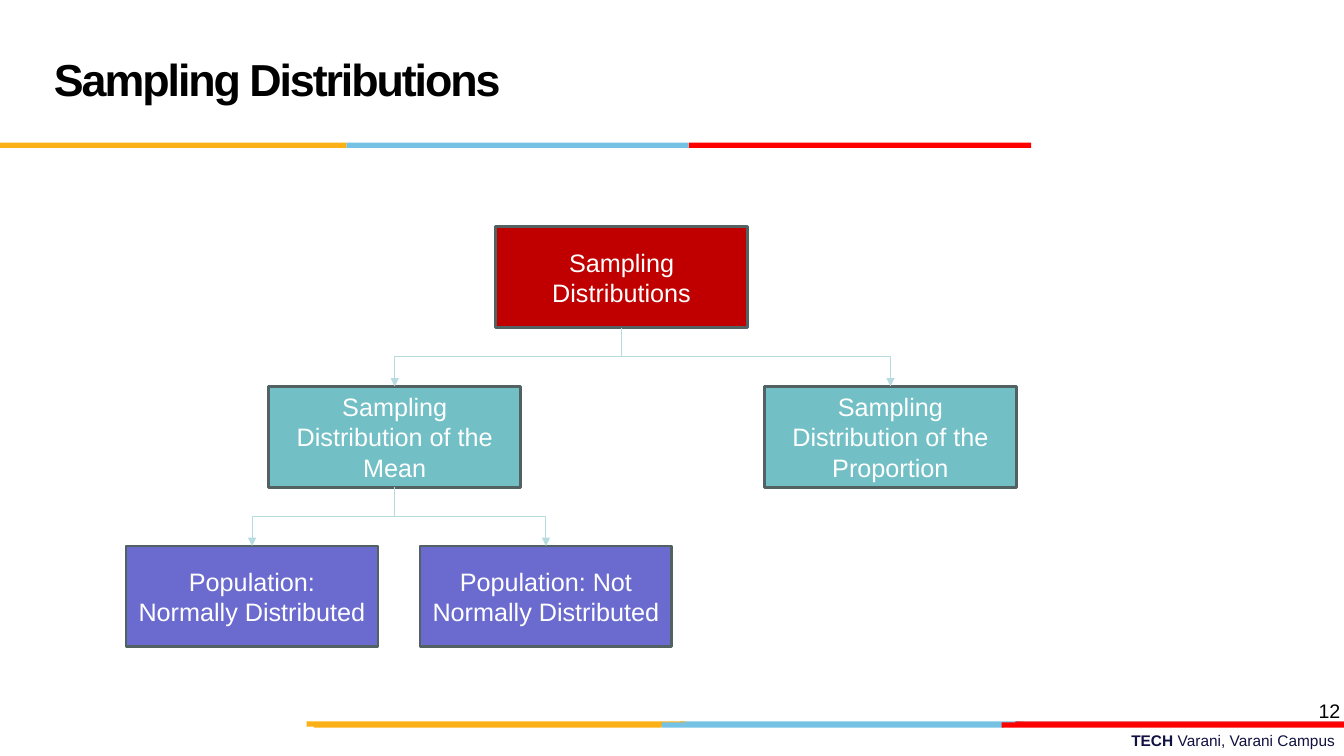
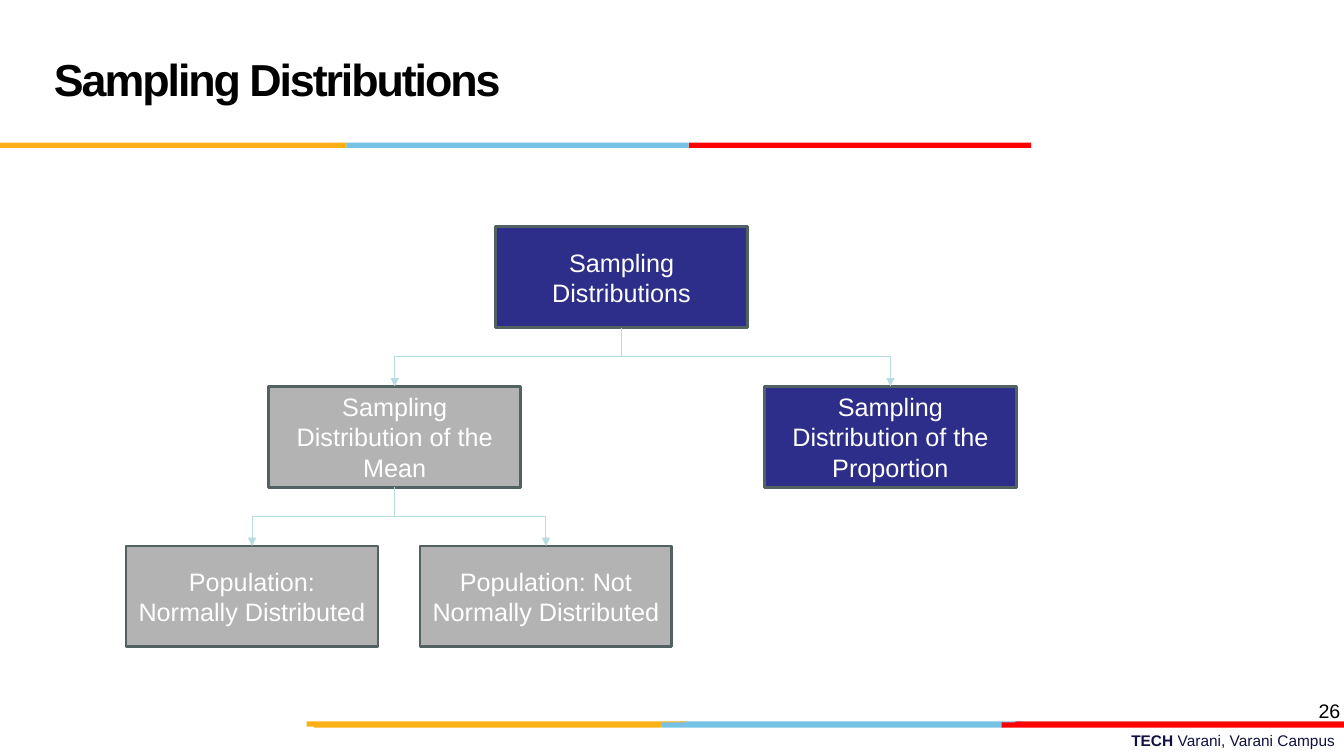
from lxml import etree
from pptx import Presentation
from pptx.dml.color import RGBColor
from pptx.enum.shapes import MSO_CONNECTOR, MSO_SHAPE
from pptx.enum.text import MSO_ANCHOR, PP_ALIGN
from pptx.oxml.ns import qn
from pptx.util import Pt

RECTANGLE = MSO_SHAPE.RECTANGLE
ELBOW = MSO_CONNECTOR.ELBOW
MIDDLE, TOP = MSO_ANCHOR.MIDDLE, MSO_ANCHOR.TOP
LEFT, CENTER, RIGHT = PP_ALIGN.LEFT, PP_ALIGN.CENTER, PP_ALIGN.RIGHT

PX = 9525
PAGE_WIDTH, PAGE_HEIGHT = 1280, 720
FONT = "Arial"
COLORS = {
    "black": "000000", "white": "FFFFFF", "footer": "101141",
    "yellow": "FCB017", "sky": "76C2E5", "red": "FF0000", "brick": "E31C24",
    "outline": "526263", "arrow": "B6DCDF",
    "crimson": "C00000", "teal": "72BFC5", "violet": "6B6BCF",
    "navy": "2D2D8A", "gray": "B3B3B3",
}

# Each band: top, then (left, width, color) of its bars from back to front
BAR_HEIGHT = 5
BANDS = [
    (687, [(648, 326, "sky"), (967, 313, "brick"), (292, 361, "yellow")]),
    (688, [(630, 326, "sky"), (299, 331, "yellow"), (954, 326, "red")]),
    (136, [(330, 326, "sky"), (0, 330, "yellow"), (656, 326, "red")]),
]

BOX_WIDTH, BOX_HEIGHT = 240, 96
TREE_TOP, LEVEL_STEP = 216, 152
# Each node: label, left, level, parent
NODES = {
    "root": ("Sampling Distributions", 472, 0, None),
    "mean": ("Sampling Distribution of the Mean", 256, 1, "root"),
    "proportion": ("Sampling Distribution of the Proportion", 728, 1, "root"),
    "normal": ("Population: Normally Distributed", 120, 2, "mean"),
    "not_normal": ("Population: Not Normally Distributed", 400, 2, "mean"),
}

TITLE = "Sampling Distributions"
PAGES = [
    ("12", {"root": "crimson", "mean": "teal", "proportion": "teal",
            "normal": "violet", "not_normal": "violet"}),
    ("26", {"root": "navy", "mean": "gray", "proportion": "navy",
            "normal": "gray", "not_normal": "gray"}),
]


def px(*lengths):
    return [round(length * PX) for length in lengths]


def rgb(name):
    return RGBColor.from_string(COLORS[name])


def write(shape, spans, size, color, align, anchor):
    """Fill a shape with one paragraph of (text, bold) spans."""
    frame = shape.text_frame
    frame.word_wrap = True
    frame.vertical_anchor = anchor
    para = frame.paragraphs[0]
    para.alignment = align
    for text, bold in spans:
        span = para.add_run()
        span.text = text
        span.font.name = FONT
        span.font.size = Pt(size)
        span.font.bold = bold
        span.font.color.rgb = rgb(color)
    return para


def add_text(page, area, spans, size, color, align, anchor=TOP):
    box = page.shapes.add_textbox(*px(*area))
    return write(box, spans, size, color, align, anchor)


def add_rectangle(page, area, fill):
    shape = page.shapes.add_shape(RECTANGLE, *px(*area))
    shape.shadow.inherit = False
    shape.fill.solid()
    shape.fill.fore_color.rgb = rgb(fill)
    shape.line.fill.background()
    return shape


def add_node(page, label, left, level, fill):
    top = TREE_TOP + level * LEVEL_STEP
    box = add_rectangle(page, (left, top, BOX_WIDTH, BOX_HEIGHT), fill)
    box.line.color.rgb = rgb("outline")
    box.line.width = Pt(2)
    write(box, [(label, False)], 18, "white", CENTER, MIDDLE)
    return box


def add_branch(page, parent, child):
    """Run an elbow arrow down from a parent's bottom to a child's top."""
    start_x = parent.left + parent.width // 2
    end_x = child.left + child.width // 2
    start_y, end_y = parent.top + parent.height, child.top
    arrow = page.shapes.add_connector(ELBOW, start_x, start_y, end_x, end_y)
    arrow.begin_connect(parent, 2)
    arrow.end_connect(child, 0)

    # The preset leaves sideways, so its frame is turned a quarter about its center
    drop, run = end_y - start_y, abs(end_x - start_x)
    arrow.left = (start_x + end_x - drop) // 2
    arrow.top = (start_y + end_y - run) // 2
    arrow.width, arrow.height = drop, run
    rightward = end_x > start_x
    properties = arrow._element.spPr
    frame = properties.find(qn("a:xfrm"))
    frame.set("rot", "16200000" if rightward else "5400000")
    frame.set("flipH", "1" if rightward else "0")
    frame.set("flipV", "0")

    arrow.line.color.rgb = rgb("arrow")
    arrow.line.width = Pt(0.75)
    etree.SubElement(properties.find(qn("a:ln")), qn("a:tailEnd"), type="triangle")
    etree.SubElement(properties, qn("a:effectLst"))


def add_frame(page, number):
    """Add what every page shares: footer, bands, title and page number."""
    add_text(page, (459, 692, 822, 28),
             [("TECH ", True), ("Varani, Varani Campus", False)],
             11, "footer", RIGHT)
    for top, bars in BANDS:
        for left, width, color in bars:
            add_rectangle(page, (left, top, width, BAR_HEIGHT), color)
    title = add_text(page, (42, 16, 1070, 120), [(TITLE, True)],
                     32, "black", LEFT, MIDDLE)
    title.line_spacing = Pt(36)
    title.runs[0].font._element.set("spc", "-150")
    add_text(page, (987, 661, 299, 50), [(number, False)], 14, "black", RIGHT)


def add_tree(page, fills):
    boxes = {name: add_node(page, label, left, level, fills[name])
             for name, (label, left, level, _) in NODES.items()}
    for name, (_, _, _, parent) in NODES.items():
        if parent:
            add_branch(page, boxes[parent], boxes[name])


def main():
    deck = Presentation()
    deck.slide_width, deck.slide_height = px(PAGE_WIDTH, PAGE_HEIGHT)
    for number, fills in PAGES:
        page = deck.slides.add_slide(deck.slide_layouts[6])
        add_frame(page, number)
        add_tree(page, fills)
    deck.save("out.pptx")


if __name__ == "__main__":
    main()
